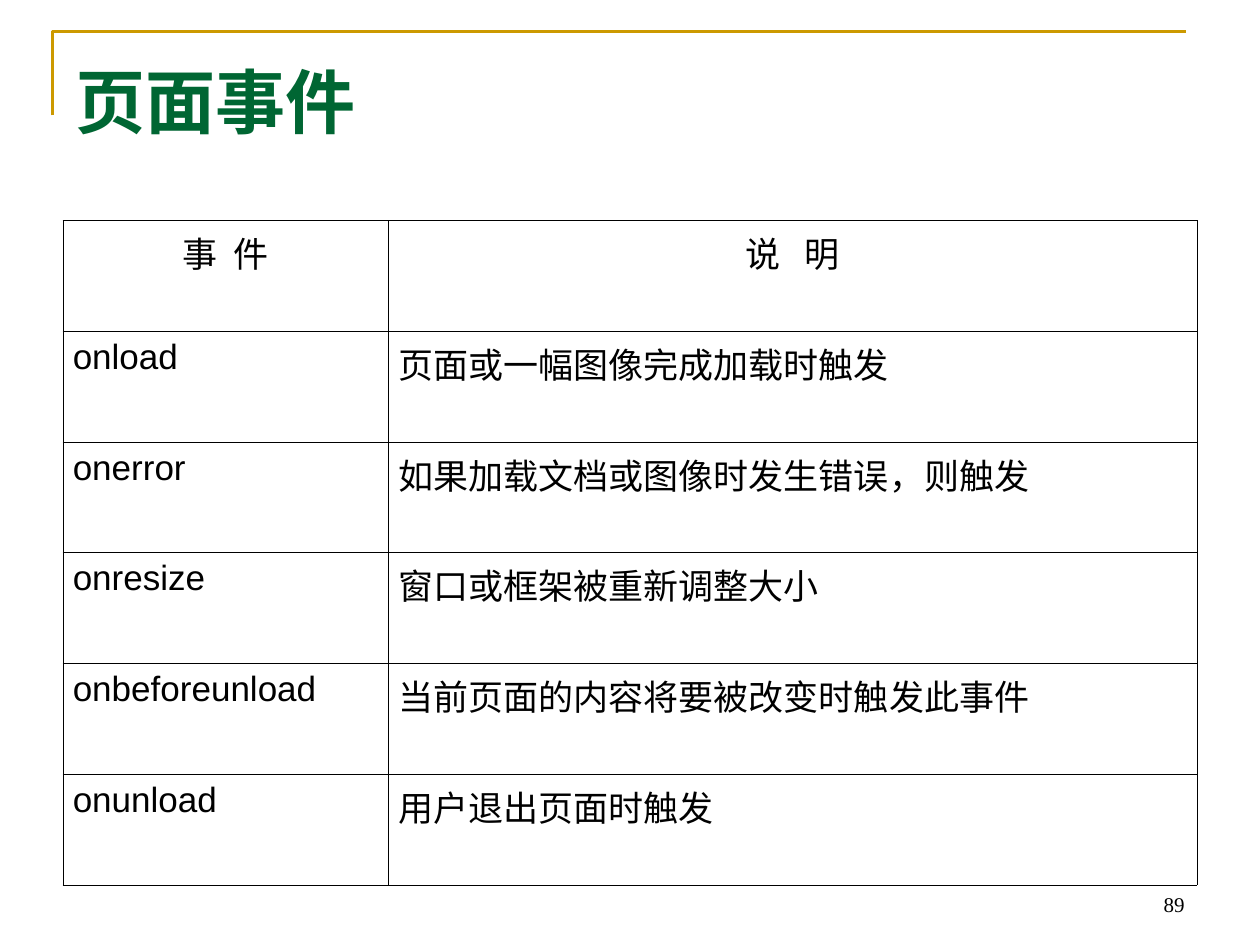
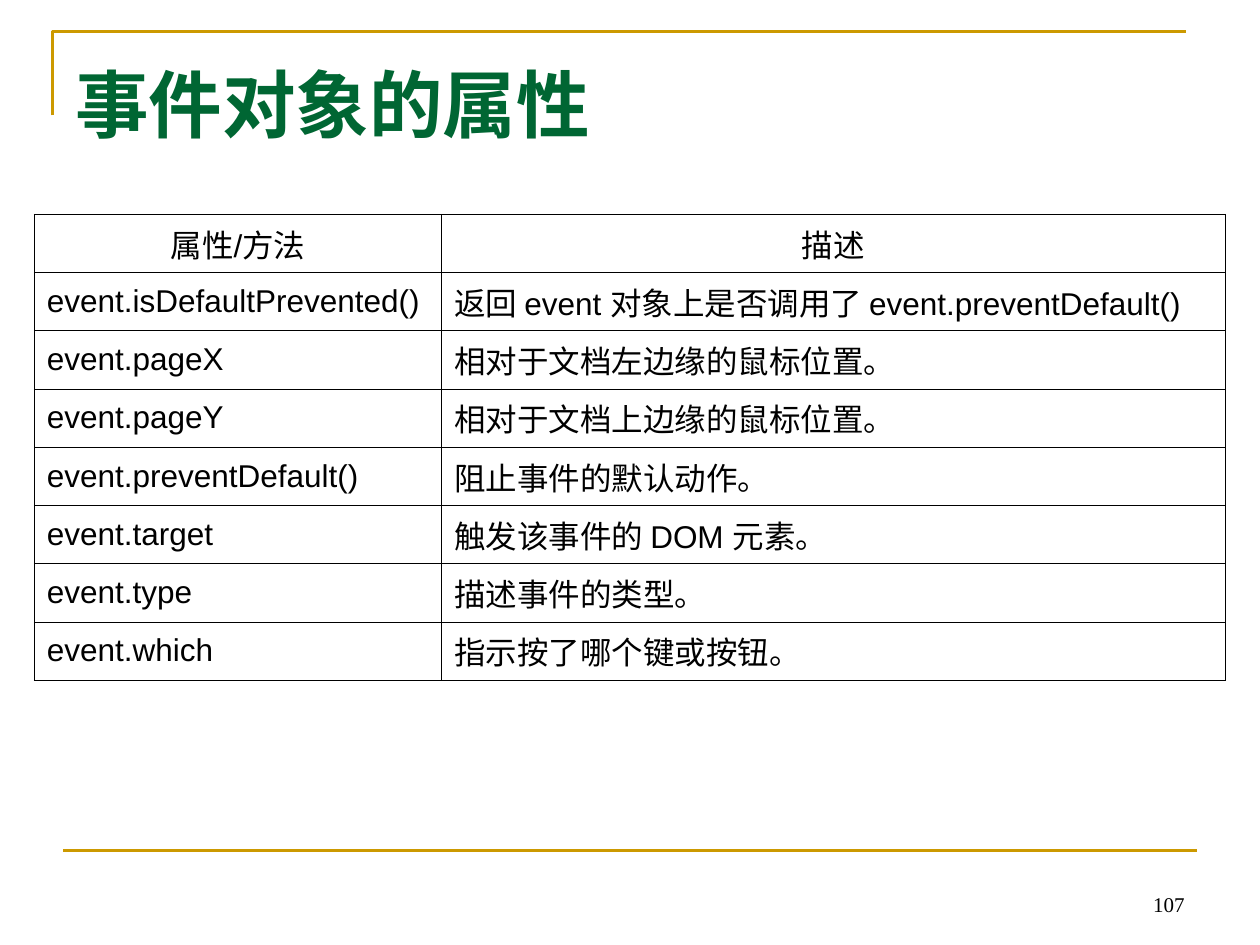
from dataclasses import dataclass

import pptx
import pptx.dml.color
import pptx.enum.shapes
import pptx.enum.text
import pptx.oxml
import pptx.oxml.ns
import pptx.util

Pt = pptx.util.Pt
ALIGN = pptx.enum.text.PP_ALIGN
ANCHOR = pptx.enum.text.MSO_ANCHOR


@dataclass(frozen=True)
class Theme:
    paper: str = "FFFFFF"
    gold: str = "CC9900"
    green: str = "006633"
    ink: str = "000000"
    title_font: str = "Times New Roman"
    table_font: str = "Arial"
    number_size: float = 12
    rule_width: float = 1.5
    border_width: float = 0.45


THEME = Theme()

SLIDES = [
    {
        "title": "页面事件",
        "title_size": 40,
        "number": "89",
        "rows": [
            ("事 件", "说 明"),
            ("onload", "页面或一幅图像完成加载时触发"),
            ("onerror", "如果加载文档或图像时发生错误，则触发"),
            ("onresize", "窗口或框架被重新调整大小"),
            ("onbeforeunload", "当前页面的内容将要被改变时触发此事件"),
            ("onunload", "用户退出页面时触发"),
        ],
        "heading_gaps": (4.4, 9.3),
        "place": (36, 126),
        "columns": (186, 462),
        "row_height": 63.32,
        "table_size": 20,
        "side_margin": 5.6,
        "anchor": ANCHOR.TOP,
        "body_align": ALIGN.JUSTIFY,
        "fill": THEME.paper,
    },
    {
        "title": "事件对象的属性",
        "title_size": 42,
        "number": "107",
        "rows": [
            ("属性/方法", "描述"),
            ("event.isDefaultPrevented()",
             "返回 event 对象上是否调用了 event.preventDefault()"),
            ("event.pageX", "相对于文档左边缘的鼠标位置。"),
            ("event.pageY", "相对于文档上边缘的鼠标位置。"),
            ("event.preventDefault()", "阻止事件的默认动作。"),
            ("event.target", "触发该事件的 DOM 元素。"),
            ("event.type", "描述事件的类型。"),
            ("event.which", "指示按了哪个键或按钮。"),
        ],
        "heading_gaps": (0, 0),
        "place": (19.6, 122.4),
        "columns": (232.8, 447.8),
        "row_height": 33.3,
        "table_size": 18,
        "side_margin": 7.2,
        "anchor": ANCHOR.MIDDLE,
        "body_align": ALIGN.LEFT,
        "fill": None,
    },
]


def rgb(color):
    return pptx.dml.color.RGBColor.from_string(color)


def add_run(paragraph, words, size, font, color, bold=False):
    run = paragraph.add_run()
    run.text = words
    run.font.size = Pt(size)
    run.font.name = font
    run.font.bold = bold
    run.font.color.rgb = rgb(color)
    return run


def add_text(slide, box, words, size, color, bold=False, align=ALIGN.LEFT, anchor=ANCHOR.TOP):
    frame = slide.shapes.add_textbox(*map(Pt, box)).text_frame
    frame.word_wrap = True
    frame.vertical_anchor = anchor
    frame.paragraphs[0].alignment = align
    add_run(frame.paragraphs[0], words, size, THEME.title_font, color, bold)


def style_rule(rule):
    rule.line.color.rgb = rgb(THEME.gold)
    rule.line.width = Pt(THEME.rule_width)


def add_frame(slide, page):
    outline = slide.shapes.build_freeform(Pt(30), Pt(66))
    outline.add_line_segments([(Pt(30), Pt(18)), (Pt(678), Pt(18))], close=False)
    corner = outline.convert_to_shape()
    corner.shadow.inherit = False
    corner.fill.background()
    style_rule(corner)
    footer = slide.shapes.add_connector(
        pptx.enum.shapes.MSO_CONNECTOR.STRAIGHT, Pt(36), Pt(486), Pt(684), Pt(486))
    style_rule(footer)
    footer._element.spPr.append(pptx.oxml.parse_xml(
        f'<a:effectLst {pptx.oxml.ns.nsdecls("a")}/>'))
    add_text(slide, (36, 30, 648, 81.4), page["title"], page["title_size"],
             THEME.green, bold=True)
    add_text(slide, (516, 491.6, 168, 36), page["number"], THEME.number_size,
             THEME.ink, align=ALIGN.RIGHT, anchor=ANCHOR.BOTTOM)


def add_borders(cell):
    properties = cell._tc.get_or_add_tcPr()
    for position, side in enumerate(("lnL", "lnR", "lnT", "lnB")):
        properties.insert(position, pptx.oxml.parse_xml(
            f'<a:{side} {pptx.oxml.ns.nsdecls("a")} w="{int(Pt(THEME.border_width))}">'
            f'<a:solidFill><a:srgbClr val="{THEME.ink}"/></a:solidFill></a:{side}>'))


def fill_cell(cell, words, page, heading, gap):
    cell.margin_left = cell.margin_right = Pt(page["side_margin"])
    cell.margin_top = cell.margin_bottom = Pt(3.6)
    cell.vertical_anchor = page["anchor"]
    if page["fill"]:
        cell.fill.solid()
        cell.fill.fore_color.rgb = rgb(page["fill"])
    else:
        cell.fill.background()
    add_borders(cell)
    paragraph = cell.text_frame.paragraphs[0]
    paragraph.alignment = ALIGN.CENTER if heading else page["body_align"]
    parts = words.partition(" ") if gap else (words,)
    for part in parts:
        run = add_run(paragraph, part, page["table_size"], THEME.table_font, THEME.ink)
        if part == " ":
            run.font._element.set("spc", str(round(gap * 100)))


def add_reference_table(slide, page):
    rows, columns = page["rows"], page["columns"]
    size = (sum(columns), page["row_height"] * len(rows))
    table = slide.shapes.add_table(
        len(rows), len(columns), *map(Pt, page["place"] + size)).table
    table.first_row = table.horz_banding = False
    for column, width in zip(table.columns, columns):
        column.width = Pt(width)
    for index, (row, entries) in enumerate(zip(table.rows, rows)):
        row.height = Pt(page["row_height"])
        heading = index == 0
        for cell, words, gap in zip(row.cells, entries, page["heading_gaps"]):
            fill_cell(cell, words, page, heading, gap if heading else 0)


def main():
    deck = pptx.Presentation()
    deck.slide_width, deck.slide_height = Pt(720), Pt(540)
    for page in SLIDES:
        slide = deck.slides.add_slide(deck.slide_layouts[6])
        add_frame(slide, page)
        add_reference_table(slide, page)
    deck.save("out.pptx")


if __name__ == "__main__":
    main()
